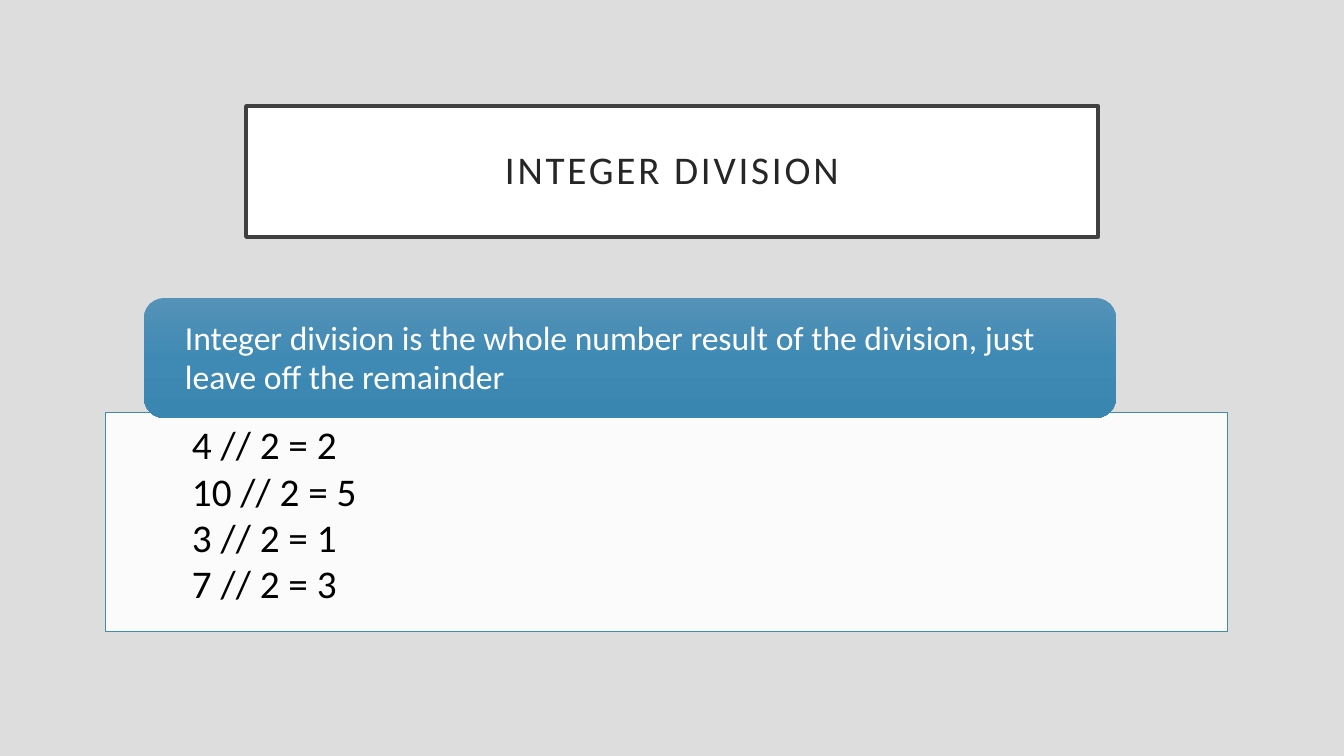
"""Build the Integer Division slide with a title, a definition and examples."""
import copy

from lxml import etree
from pptx import Presentation, util as u
from pptx.dml.color import RGBColor
from pptx.enum import shapes, text
from pptx.oxml.ns import qn

PX = 914400 / 100.8


def px(n):
    return u.Emu(round(n * PX))


def rgb(value):
    return RGBColor.from_string(value)


prs = Presentation()
prs.slide_width, prs.slide_height = px(1344), px(756)
s = prs.slides.add_slide(prs.slide_layouts[1])
s.background.fill.solid()
s.background.fill.fore_color.rgb = rgb("DDDDDD")

title, examples = s.shapes.title, s.placeholders[1]
definition = s.shapes.add_shape(shapes.MSO_SHAPE.ROUNDED_RECTANGLE, 0, 0, 0, 0)
definition.shadow.inherit = False

EXAMPLES = ["4 // 2 = 2", "10 // 2 = 5", "3 // 2 = 1", "7 // 2 = 3"]
DEFINITION = "Integer division is the whole number result of the division, just leave off the remainder"
MIDDLE, TOP = text.MSO_ANCHOR.MIDDLE, text.MSO_ANCHOR.TOP
CENTER, LEFT = text.PP_ALIGN.CENTER, text.PP_ALIGN.LEFT

for sp, box, insets, anchor, align, size, color, spacing, lines in [
    (title, (246, 106, 852, 131), (20, 20, 20, 20), MIDDLE, CENTER, 28, "262626", 0.9, ["INTEGER DIVISION"]),
    (examples, (105, 412, 1122, 219), (87, 11, 87, 22), TOP, LEFT, 28, "000000", 0.98, EXAMPLES),
    (definition, (144, 298, 972, 120), (35, 6, 35, 6), MIDDLE, LEFT, 24, "FFFFFF", 0.98, [DEFINITION]),
]:
    sp.left, sp.top, sp.width, sp.height = map(px, box)
    tf = sp.text_frame
    tf.margin_left, tf.margin_top, tf.margin_right, tf.margin_bottom = map(px, insets)
    tf.word_wrap, tf.auto_size = True, text.MSO_AUTO_SIZE.NONE
    tf.vertical_anchor = anchor
    tf.text = "\n".join(lines)
    for p in tf.paragraphs:
        p.alignment, p.line_spacing, p.space_before = align, spacing, u.Pt(0)
        p.font.name, p.font.size, p.font.color.rgb = "Calibri", u.Pt(size), rgb(color)

for sp, line_color, width in [(title, "404040", 2.5), (examples, "418AB3", 0.5)]:
    sp.fill.solid()
    sp.fill.fore_color.rgb = rgb("FFFFFF")
    sp.line.color.rgb, sp.line.width = rgb(line_color), u.Pt(width)

title.text_frame.paragraphs[0].runs[0].font._element.set("spc", "200")

white = examples._element.spPr.find(qn("a:solidFill")).find(qn("a:srgbClr"))
etree.SubElement(white, qn("a:alpha"), val="90000")
for p in examples.text_frame.paragraphs:
    pPr = p._p.get_or_add_pPr()
    pPr.set("marL", "0")
    pPr.set("indent", "0")
    pPr.find(qn("a:spcBef")).addnext(etree.Element(qn("a:buNone")))

definition.line.fill.background()
fill = definition.fill
fill.gradient()
fill.gradient_angle = 270
for stop, color in zip(fill.gradient_stops, ["5592B7", "3986B1"]):
    stop.color.rgb = rgb(color)
first = definition._element.spPr.find(qn("a:gradFill")).find(qn("a:gsLst"))[0]
middle = copy.deepcopy(first)
middle.set("pos", "50000")
middle.find(qn("a:srgbClr")).set("val", "3F8AB5")
first.addnext(middle)

prs.save("out.pptx")
